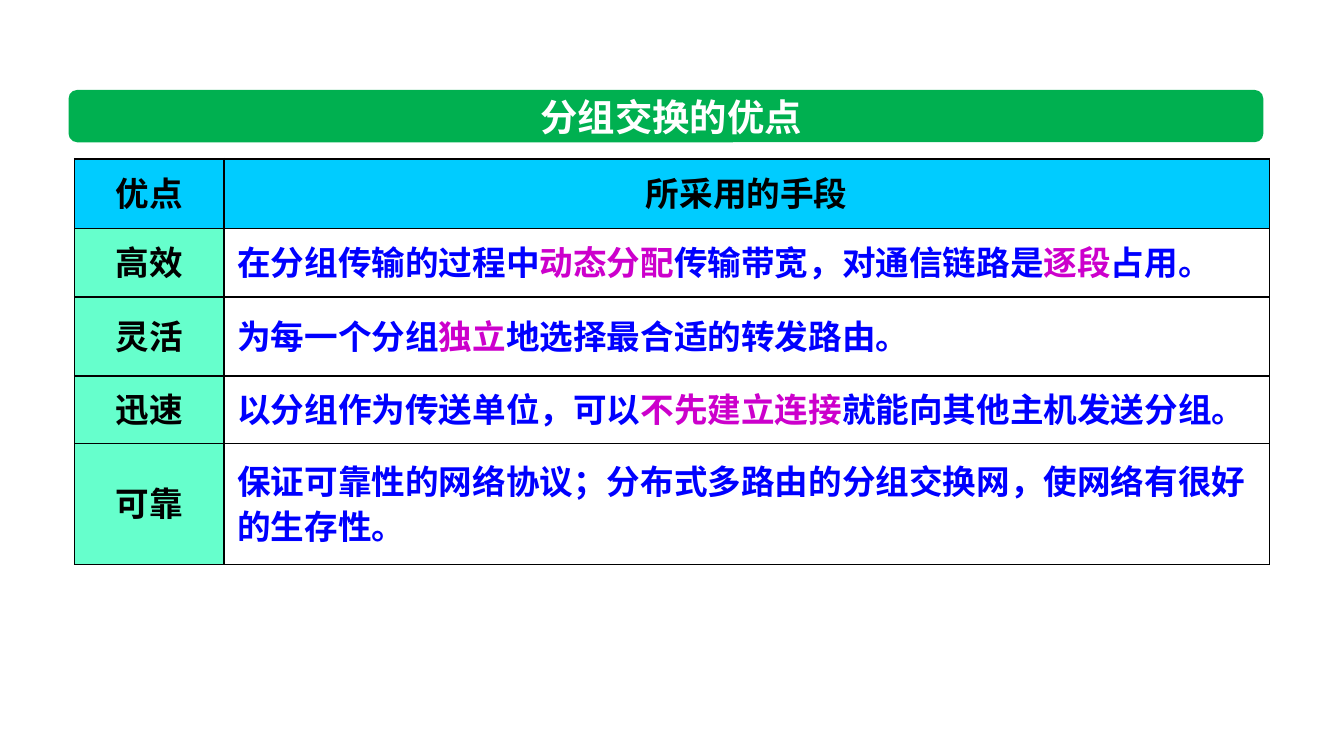
from dataclasses import dataclass
from typing import Any

from lxml import etree
from pptx import Presentation
from pptx import util as u
from pptx.dml.color import RGBColor
from pptx.enum import shapes, text
from pptx.oxml import ns


@dataclass(frozen=True)
class Theme:
    face: str = "Noto Sans CJK SC"
    bar: str = "00B050"
    head: str = "00CCFF"
    side: str = "66FFCC"
    white: str = "FFFFFF"
    black: str = "000000"
    blue: str = "0000FF"
    pink: str = "CC00CC"
    title: int = 20
    body: int = 18
    lead: int = 24
    rule: int = 1


@dataclass(frozen=True)
class Box:
    left: float
    top: float
    width: float
    height: float


@dataclass(frozen=True)
class Row:
    name: str
    means: str
    share: float


T = Theme()
WIDE = u.Inches(10)
HIGH = WIDE * 9 // 16
MARK = "*"
BAR = Box(5.1, 11.9, 88.9, 6.93)
TITLE = Box(13.7, 11.9, 72.5, 6.93)
GRID = Box(5.55, 21, 88.9, 53.7)
COLS = (12.5, 87.5)
ROWS = (
    Row("优点", "所采用的手段", 17.2),
    Row("高效", "在分组传输的过程中*动态分配*传输带宽，对通信链路是*逐段*占用。", 16.9),
    Row("灵活", "为每一个分组*独立*地选择最合适的转发路由。", 19.5),
    Row("迅速", "以分组作为传送单位，可以*不先建立连接*就能向其他主机发送分组。", 16.6),
    Row("可靠", "保证可靠性的网络协议；分布式多路由的分组交换网，使网络有很好的生存性。", 29.8),
)


def apply(item: Any, form: dict[str, Any]) -> None:
    for key, value in form.items():
        setattr(item, key, value)


def part_of(share: float, whole: int) -> int:
    return round(share * whole / 100)


def scale(box: Box) -> dict[str, int]:
    return {
        "left": part_of(box.left, WIDE),
        "top": part_of(box.top, HIGH),
        "width": part_of(box.width, WIDE),
        "height": part_of(box.height, HIGH),
    }


def paint(fill: Any, color: str) -> None:
    fill.solid()
    fill.fore_color.rgb = RGBColor.from_string(color)


def write(para: Any, words: str, size: int, color: str) -> None:
    for i, part in enumerate(words.split(MARK)):
        run = para.add_run()
        run.text = part
        apply(run.font, {"name": T.face, "size": u.Pt(size), "bold": True})
        tone = T.pink if i % 2 else color
        run.font.color.rgb = RGBColor.from_string(tone)
        latin = run.font._element.find(ns.qn("a:latin"))
        east = etree.Element(ns.qn("a:ea"), typeface=T.face)
        latin.addnext(east)


def frame(cell: Any) -> None:
    props = cell._tc.get_or_add_tcPr()
    for side in ("lnL", "lnR", "lnT", "lnB"):
        line = etree.SubElement(props, ns.qn(f"a:{side}"), w=str(u.Pt(T.rule)))
        fill = etree.SubElement(line, ns.qn("a:solidFill"))
        etree.SubElement(fill, ns.qn("a:srgbClr"), val=T.black)


def fill_cell(cell: Any, words: str, back: str, color: str, center: bool) -> None:
    frame(cell)
    paint(cell.fill, back)
    cell.vertical_anchor = text.MSO_ANCHOR.MIDDLE
    para = cell.text_frame.paragraphs[0]
    align = text.PP_ALIGN.CENTER if center else text.PP_ALIGN.LEFT
    apply(para, {"alignment": align, "line_spacing": u.Pt(T.lead)})
    write(para, words, T.body, color)


def add_bar(slide: Any) -> None:
    bar = slide.shapes.add_shape(
        shapes.MSO_SHAPE.ROUNDED_RECTANGLE, **scale(BAR))
    bar.shadow.inherit = False
    paint(bar.fill, T.bar)
    bar.line.fill.background()


def add_grid(slide: Any) -> None:
    place = scale(GRID)
    grid = slide.shapes.add_table(len(ROWS), len(COLS), **place).table
    for col, share in zip(grid.columns, COLS):
        col.width = part_of(share, place["width"])
    for i, row in enumerate(ROWS):
        grid.rows[i].height = part_of(row.share, place["height"])
        top = i == 0
        fill_cell(grid.cell(i, 0), row.name, T.head if top else T.side,
                  T.black, True)
        fill_cell(grid.cell(i, 1), row.means, T.head if top else T.white,
                  T.black if top else T.blue, top)
    wide, slim = u.Inches(0.12), u.Inches(0.08)
    apply(grid.cell(0, 0), {"margin_left": wide, "margin_right": wide,
                            "margin_top": slim, "margin_bottom": slim})


def add_title(slide: Any, words: str) -> None:
    title = slide.shapes.title
    apply(title, scale(TITLE))
    apply(title.text_frame, {
        "word_wrap": True,
        "auto_size": text.MSO_AUTO_SIZE.NONE,
        "vertical_anchor": text.MSO_ANCHOR.MIDDLE,
    })
    para = title.text_frame.paragraphs[0]
    para.alignment = text.PP_ALIGN.CENTER
    write(para, words, T.title, T.white)
    slide.shapes._spTree.append(title._element)


def main() -> None:
    deck = Presentation()
    apply(deck, {"slide_width": WIDE, "slide_height": HIGH})
    slide = deck.slides.add_slide(deck.slide_layouts.get_by_name("Title Only"))
    add_bar(slide)
    add_grid(slide)
    add_title(slide, "分组交换的优点")
    deck.save("out.pptx")


if __name__ == "__main__":
    main()
